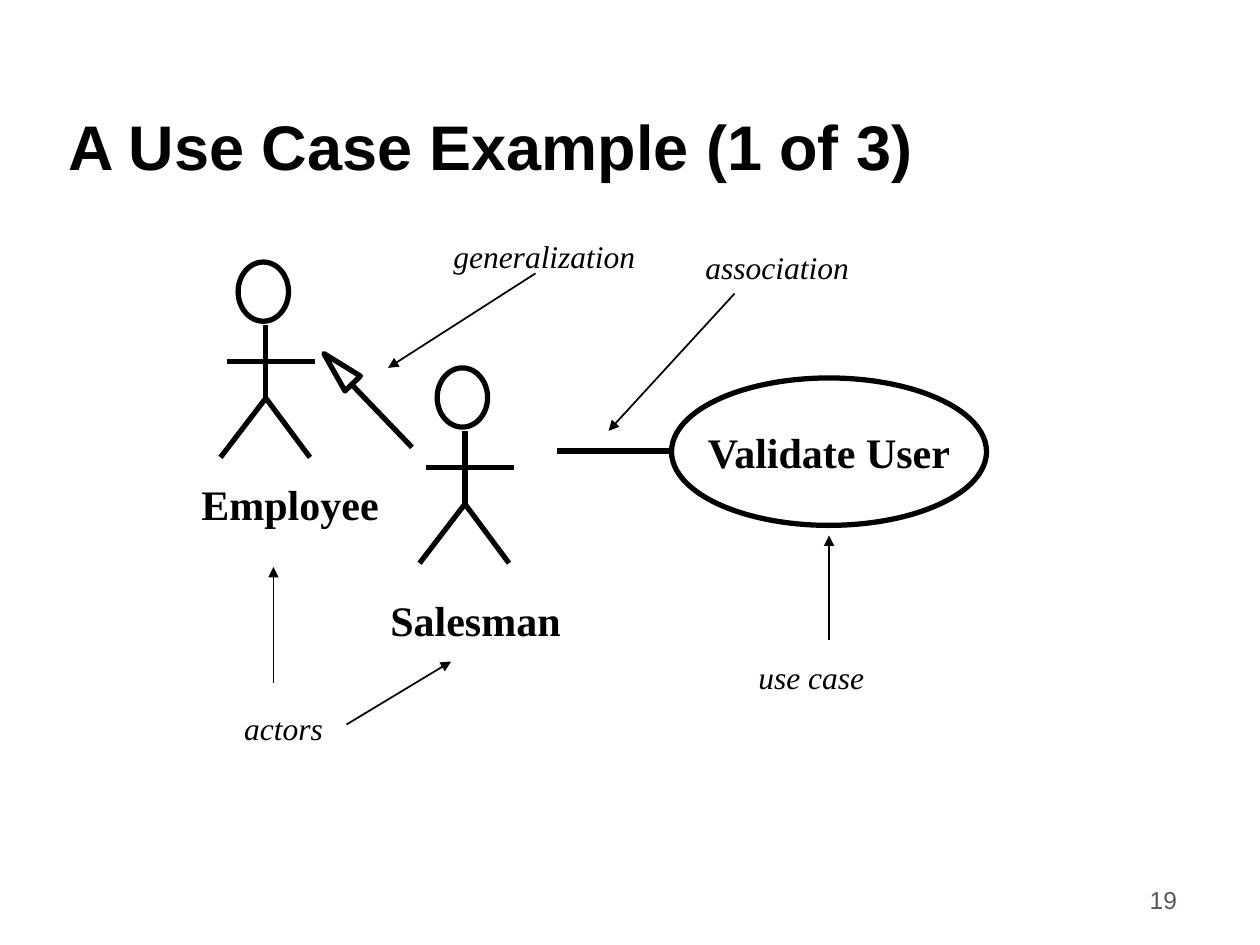
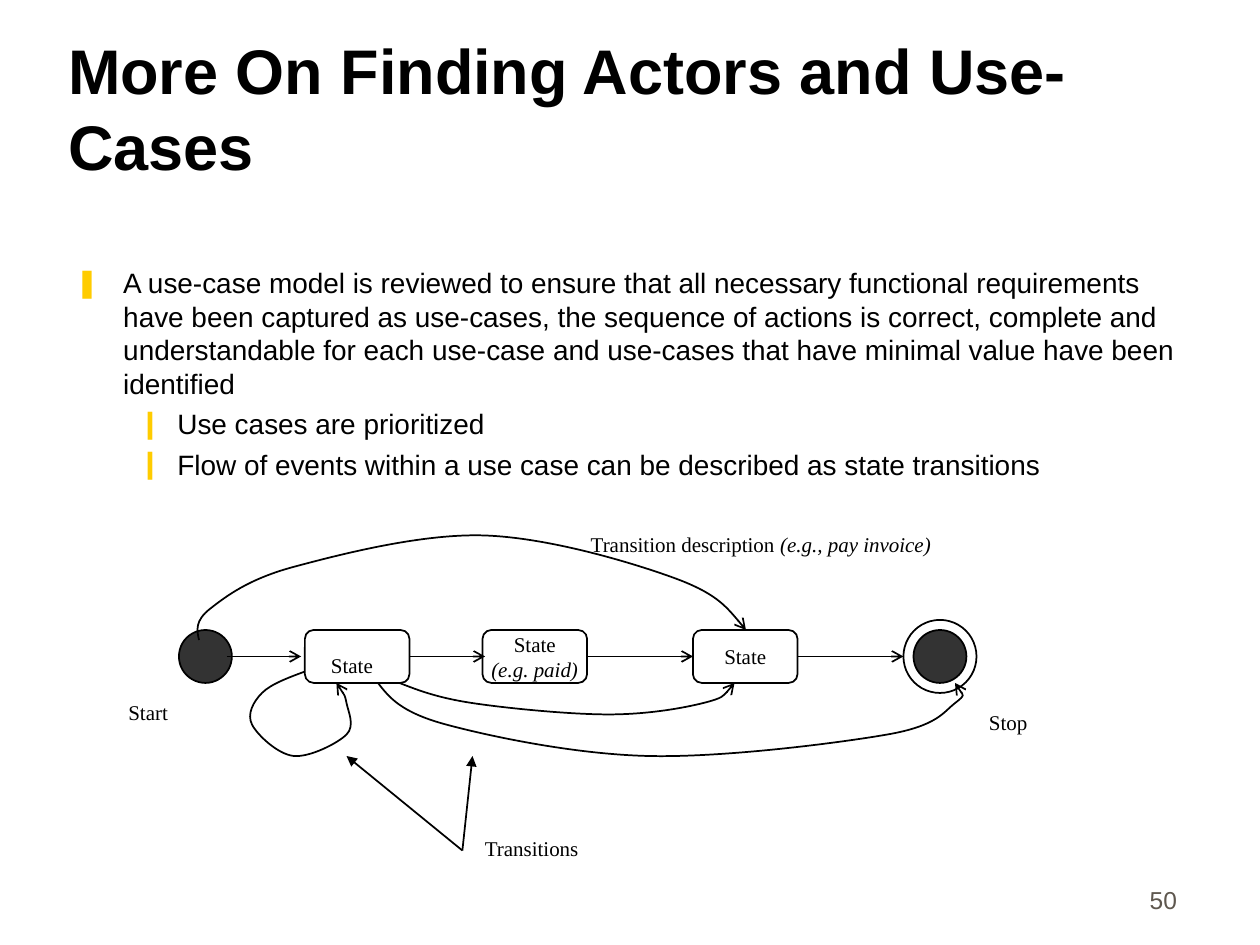
from dataclasses import dataclass

from lxml import etree
from pptx import Presentation
from pptx.dml.color import RGBColor
from pptx.enum.shapes import MSO_CONNECTOR, MSO_SHAPE
from pptx.enum.text import MSO_ANCHOR, MSO_AUTO_SIZE, PP_ALIGN
from pptx.oxml.ns import qn
from pptx.util import Inches, Pt

STRAIGHT = MSO_CONNECTOR.STRAIGHT
OVAL, ROUND, TRIANGLE = MSO_SHAPE.OVAL, MSO_SHAPE.ROUNDED_RECTANGLE, MSO_SHAPE.ISOSCELES_TRIANGLE
MIDDLE, BOTTOM = MSO_ANCHOR.MIDDLE, MSO_ANCHOR.BOTTOM
LEFT, CENTER, RIGHT = PP_ALIGN.LEFT, PP_ALIGN.CENTER, PP_ALIGN.RIGHT
FIT, FIXED = MSO_AUTO_SIZE.SHAPE_TO_FIT_TEXT, MSO_AUTO_SIZE.NONE


@dataclass(frozen=True)
class Theme:
    sans: str = "Arial"
    serif: str = "Times New Roman"
    ink: str = "000000"
    dot: str = "333333"
    grey: str = "5E574E"
    gold: str = "FFCC00"
    title: int = 36
    name: int = 24
    note: int = 18
    body: int = 16
    page: int = 14
    small: int = 12
    thick: int = 3
    thin: int = 1


THEME = Theme()


def style(run, size, font=THEME.serif, color=THEME.ink, bold=False, italic=False):
    run.font.name, run.font.size = font, Pt(size)
    run.font.color.rgb = RGBColor.from_string(color)
    run.font.bold, run.font.italic = bold, italic


def write(par, parts, size, align=LEFT, **look):
    """Fill a paragraph with (text, changes of look) parts."""
    par.alignment = align
    for text, change in parts:
        run = par.add_run()
        run.text = text
        style(run, **{"size": size, **look, **change})


def add_box(shapes, left, top, width, height):
    return shapes.add_textbox(Inches(left), Inches(top), Inches(width), Inches(height))


def label(shapes, left, top, width, parts, size, **look):
    """One line of text whose box grows with it."""
    frame = add_box(shapes, left, top, width, size / 60 + 0.1).text_frame
    frame.word_wrap, frame.auto_size = False, FIT
    write(frame.paragraphs[0], parts, size, **look)


def outline(shape, weight, tip=None, end="tailEnd"):
    shape.line.color.rgb = RGBColor.from_string(THEME.ink)
    shape.line.width = Pt(weight)
    if tip:
        etree.SubElement(shape.element.spPr.find(qn("a:ln")), qn(f"a:{end}"), type=tip)


def draw(shapes, kind, left, top, width, height, weight, fill=None):
    shape = shapes.add_shape(kind, Inches(left), Inches(top), Inches(width), Inches(height))
    shape.shadow.inherit = False
    if fill:
        shape.fill.solid()
        shape.fill.fore_color.rgb = RGBColor.from_string(fill)
    else:
        shape.fill.background()
    outline(shape, weight)
    return shape


def link(shapes, start, stop, weight=THEME.thin, tip=None, end="tailEnd"):
    line = shapes.add_connector(STRAIGHT, *(Inches(v) for v in (*start, *stop)))
    outline(line, weight, tip, end)
    etree.SubElement(line.element.spPr, qn("a:effectLst"))


def middle(first, second):
    return tuple((a + b) / 2 for a, b in zip(first, second))


def curve(shapes, points):
    """Smooth arrow through points: each tangent is parallel to its neighbours' chord."""
    before, after = {}, {}
    last = len(points) - 1
    for i in range(1, last):
        pull = [(b - a) / 6 for a, b in zip(points[i - 1], points[i + 1])]
        before[i] = tuple(p - d for p, d in zip(points[i], pull))
        after[i] = tuple(p + d for p, d in zip(points[i], pull))
    after[0] = middle(points[0], before[1])
    before[last] = middle(points[last], after[last - 1])
    knots = [knot for i in range(last) for knot in (after[i], before[i + 1], points[i + 1])]
    pen = shapes.build_freeform(*(Inches(v) for v in points[0]))
    pen.add_line_segments([(Inches(x), Inches(y)) for x, y in knots], close=False)
    shape = pen.convert_to_shape()
    bend(shape)
    shape.shadow.inherit = False
    shape.fill.background()
    outline(shape, THEME.thin, "arrow")


def bend(shape):
    """Join every three straight segments into one cubic curve."""
    lines = list(shape.element.spPr.iter(qn("a:lnTo")))
    for i in range(0, len(lines), 3):
        arc = etree.Element(qn("a:cubicBezTo"))
        lines[i].addprevious(arc)
        for line in lines[i:i + 3]:
            arc.append(line[0])
            line.getparent().remove(line)


def caption(shape, lines, size, **look):
    frame = shape.text_frame
    frame.word_wrap, frame.vertical_anchor = False, MIDDLE
    for i, parts in enumerate(lines):
        par = frame.add_paragraph() if i else frame.paragraphs[0]
        write(par, parts, size, CENTER, **look)


def start_slide(deck, title, page):
    slide = deck.slides.add_slide(deck.slide_layouts[5])
    head = slide.shapes.title
    head.left, head.top, head.width, head.height = (Inches(v) for v in (0.44, 0.25, 8.5, 1.25))
    frame = head.text_frame
    frame.text = title
    frame.auto_size, frame.vertical_anchor, frame.word_wrap = FIXED, BOTTOM, True
    frame.paragraphs[0].alignment = LEFT
    style(frame.paragraphs[0].runs[0], THEME.title, THEME.sans, bold=True)
    foot = add_box(slide.shapes, 7.36, 6.81, 2.08, 0.5).text_frame
    foot.word_wrap, foot.vertical_anchor = True, BOTTOM
    write(foot.paragraphs[0], [(page, {})], THEME.page, RIGHT, font=THEME.sans, color=THEME.grey)
    return slide.shapes


def actor(shapes, left, top):
    """Stick figure."""
    parts = shapes.add_group_shape().shapes
    draw(parts, OVAL, left + 0.14, top, 0.4, 0.47, THEME.thick)
    neck, hip = (0.36, 0.5), (0.36, 1.08)
    for start, stop in ((neck, hip), (hip, (0.71, 1.55)), (hip, (0, 1.55)),
                        ((0.05, 0.79), (0.75, 0.79))):
        link(parts, (left + start[0], top + start[1]), (left + stop[0], top + stop[1]), THEME.thick)


def general(shapes, left, top):
    """Line with a hollow triangle towards the general actor."""
    parts = shapes.add_group_shape().shapes
    head = draw(parts, TRIANGLE, left, top, 0.17, 0.33, THEME.thick)
    head.rotation = 316.1
    link(parts, (left + 0.19, top + 0.29), (left + 0.67, top + 0.79), THEME.thick)


def use_case(deck):
    shapes = start_slide(deck, "A Use Case Example (1 of 3)", "19")
    case = draw(shapes, OVAL, 5.33, 3, 2.5, 1.17, THEME.thick)
    caption(case, [[("Validate User", {})]], THEME.name, bold=True)
    actor(shapes, 3.33, 2.92)
    actor(shapes, 1.75, 2.08)
    link(shapes, (4.42, 3.58), (5.33, 3.58), THEME.thick)
    general(shapes, 2.6, 2.76)
    for text, left, top, width in (("Salesman", 3, 4.67, 1.6), ("Employee", 1.5, 3.75, 1.65)):
        label(shapes, left, top, width, [(text, {})], THEME.name, bold=True)
    for text, left, top, width in (("actors", 1.84, 5.58, 0.87), ("use case", 5.92, 5.17, 1.09),
                                   ("generalization", 3.5, 1.83, 1.69),
                                   ("association", 5.5, 1.92, 1.39)):
        label(shapes, left, top, width, [(text, {})], THEME.note, italic=True)
    for start, stop in (((2.17, 5.42), (2.17, 4.5)), ((2.75, 5.75), (3.58, 5.25)),
                        ((6.58, 5.08), (6.58, 4.25)), ((4.25, 2.17), (3.08, 2.92)),
                        ((5.83, 2.33), (4.83, 3.42))):
        link(shapes, start, stop, tip="triangle")


def bullets(shapes, left, top, width, height, items):
    marks = (("❚", 0.38, 0.38), ("❙", 0.81, 0.31))
    frame = add_box(shapes, left, top, width, height).text_frame
    frame.word_wrap = True
    for i, (level, text) in enumerate(items):
        par = frame.add_paragraph() if i else frame.paragraphs[0]
        par.level = level
        if i:
            par.space_before = Pt(4)
        sign, margin, hang = marks[level]
        props = par._p.get_or_add_pPr()
        props.set("marL", str(Inches(margin)))
        props.set("indent", str(-Inches(hang)))
        tint = etree.SubElement(props, qn("a:buClr"))
        etree.SubElement(tint, qn("a:srgbClr"), val=THEME.gold)
        etree.SubElement(props, qn("a:buFont"), typeface=THEME.sans)
        etree.SubElement(props, qn("a:buChar"), char=sign)
        write(par, [(text, {})], THEME.body, font=THEME.sans)


def states(shapes, left, top):
    """State chart, with the row of states at the given corner."""
    def at(x, y):
        return left + x, top + y

    draw(shapes, OVAL, *at(0, 0), 0.42, 0.42, THEME.thin, THEME.dot)
    stop = shapes.add_group_shape().shapes
    draw(stop, OVAL, *at(5.83, 0), 0.42, 0.42, THEME.thin, THEME.dot)
    draw(stop, OVAL, *at(5.75, -0.08), 0.58, 0.58, THEME.thin)
    state = [("State", {})]
    for x, lines in ((1, [state + [(" ", {"size": THEME.name})]]),
                     (2.41, [state, [("(e.g. paid)", {"italic": True})]]), (4.08, [state])):
        caption(draw(shapes, ROUND, *at(x, 0), 0.83, 0.42, THEME.thin), lines, THEME.small)
    for begin, end in ((0.38, 0.97), (1.83, 2.43), (3.25, 4.08), (4.91, 5.75)):
        link(shapes, at(begin, 0.21), at(end, 0.21), tip="arrow")
    for points in (
        ((0.16, 0.08), (0.25, -0.17), (0.91, -0.5), (2.41, -0.75), (3.91, -0.42), (4.5, 0)),
        ((1, 0.33), (0.66, 0.5), (0.58, 0.75), (0.91, 1), (1.33, 0.83), (1.33, 0.58), (1.25, 0.42)),
        ((1.58, 0.42), (2.12, 0.75), (3.73, 1), (5.62, 0.83), (6.16, 0.58), (6.16, 0.42)),
        ((1.75, 0.42), (2.33, 0.58), (3.41, 0.67), (4.16, 0.58), (4.41, 0.42)),
    ):
        curve(shapes, [at(*point) for point in points])
    link(shapes, at(1.33, 1), at(2.25, 1.75), tip="triangle", end="headEnd")
    link(shapes, at(2.25, 1.75), at(2.33, 1), tip="triangle")
    for x, y, width, parts in (
        (-0.5, 0.5, 0.56, [("Start", {})]),
        (6.33, 0.58, 0.55, [("Stop", {})]),
        (2.33, 1.58, 1, [("Transitions", {})]),
        (3.17, -0.83, 2.96, [("Transition description ", {}),
                             ("(e.g., pay invoice)", {"italic": True})]),
    ):
        label(shapes, *at(x, y), width, parts, THEME.small)


def finding(deck):
    shapes = start_slide(deck, "More On Finding Actors and Use-Cases", "50")
    bullets(shapes, 0.5, 2.06, 8.94, 4.56, (
        (0, "A use-case model is reviewed to ensure that all necessary functional requirements "
            "have been captured as use-cases, the sequence of actions is correct, complete and "
            "understandable for each use-case and use-cases that have minimal value have been "
            "identified"),
        (1, "Use cases are prioritized"),
        (1, "Flow of events within a use case can be described as state transitions"),
    ))
    states(shapes, 1.42, 5)


def main():
    deck = Presentation()
    deck.slide_width, deck.slide_height = Inches(10), Inches(7.5)
    use_case(deck)
    finding(deck)
    deck.save("out.pptx")


if __name__ == "__main__":
    main()
